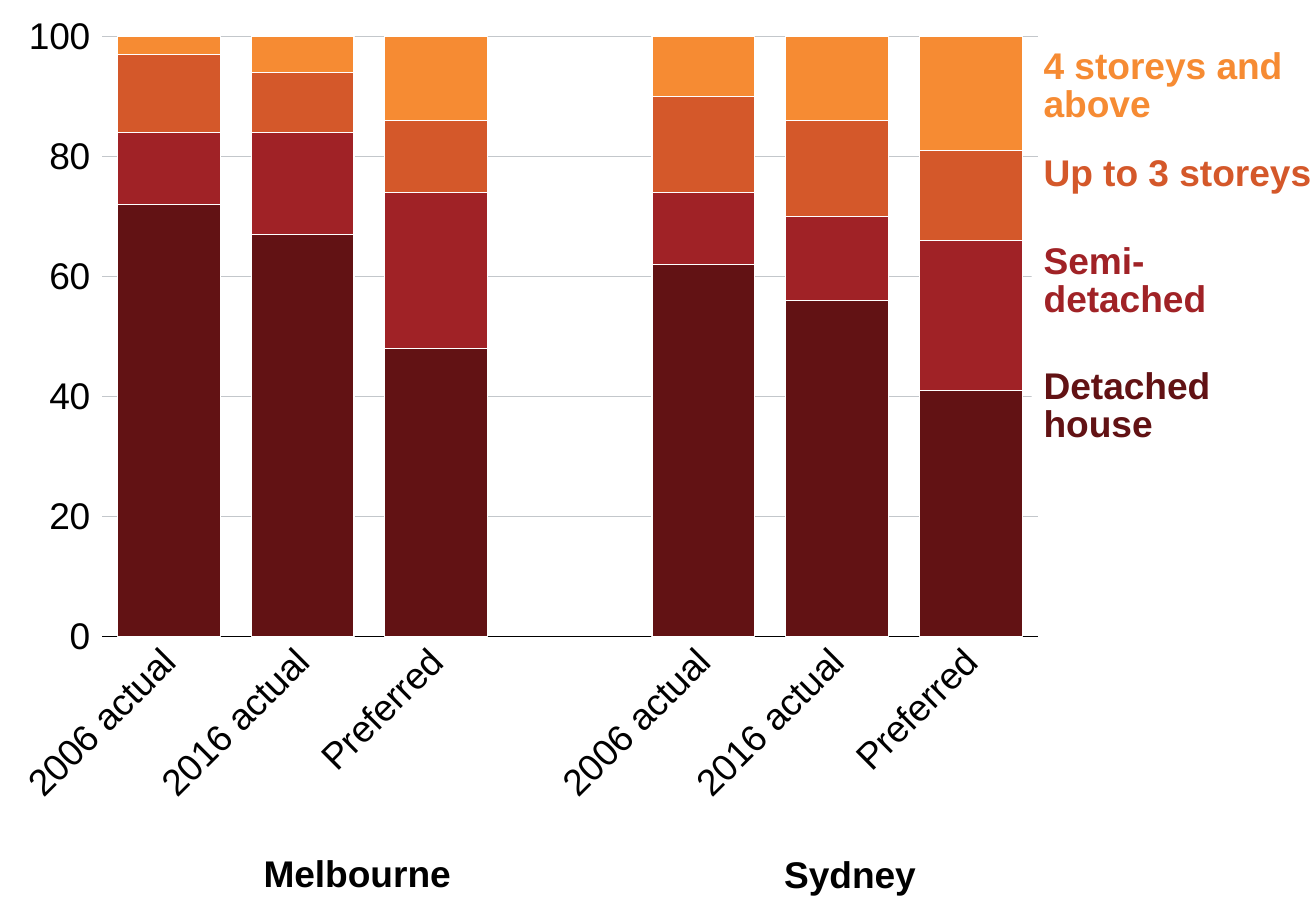
from lxml.etree import SubElement
from pptx import Presentation
from pptx.chart.data import CategoryChartData
from pptx.dml.color import RGBColor
from pptx.enum.chart import XL_CHART_TYPE, XL_TICK_MARK
from pptx.enum.text import MSO_ANCHOR, MSO_AUTO_SIZE, PP_ALIGN
from pptx.oxml.ns import qn
from pptx.util import Inches, Pt

BLACK = RGBColor(0, 0, 0)
WHITE = RGBColor(255, 255, 255)
GREY = RGBColor(0xC3, 0xC7, 0xCB)
MAROON = RGBColor(0x62, 0x12, 0x14)
RED = RGBColor(0xA0, 0x22, 0x26)
RUST = RGBColor(0xD4, 0x58, 0x2A)
ORANGE = RGBColor(0xF6, 0x8B, 0x33)

WIDTH, HEIGHT = 8.72, 6.89
STAGES = ["2006 actual", "2016 actual", "Preferred"]
SERIES = [
    ("Detached house", MAROON, [72, 67, 48, None, 62, 56, 41]),
    ("Semi-detached", RED, [12, 17, 26, None, 12, 14, 25]),
    ("Up to 3 storeys", RUST, [13, 10, 12, None, 16, 16, 15]),
    ("4 storeys and above", ORANGE, [3, 7, 14, None, 10, 14, 20]),
]
KEYS = [
    (2.99, 2.2, 0.74, ["Detached house"], MAROON, WHITE),
    (1.96, 2.12, 0.74, ["Semi-detached"], RED, WHITE),
    (1.24, 2.6, 0.42, ["Up to 3 storeys"], RUST, None),
    (0.36, 2.35, 0.74, ["4 storeys and", "above"], ORANGE, WHITE),
]
CITIES = [("Melbourne", 1.56, 6.95, 2.76), ("Sydney", 5.5, 6.96, 2.99)]


def set_font(font, color, bold=False):
    font.name = "Arial"
    font.size = Pt(22)
    font.bold = bold
    font.color.rgb = color


def set_line(line, color):
    line.color.rgb = color
    line.width = Pt(0.75)


def place_plot(chart, **box):
    area = chart.element.find(".//" + qn("c:plotArea"))
    for old in area.findall(qn("c:layout")):
        area.remove(old)
    layout = SubElement(area, qn("c:layout"))
    area.insert(0, layout)
    manual = SubElement(layout, qn("c:manualLayout"))
    SubElement(manual, qn("c:layoutTarget"), val="inner")
    for mode in ("xMode", "yMode"):
        SubElement(manual, qn("c:" + mode), val="edge")
    for name, size in box.items():
        SubElement(manual, qn("c:" + name), val=str(size))


def style_axes(chart):
    stage = chart.category_axis
    stage.major_tick_mark = XL_TICK_MARK.NONE
    set_line(stage.format.line, BLACK)
    set_font(stage.tick_labels.font, BLACK)
    axis = chart.element.find(".//" + qn("c:catAx"))
    body = axis.find(qn("c:txPr")).find(qn("a:bodyPr"))
    body.set("rot", "-2700000")
    body.set("vert", "horz")

    share = chart.value_axis
    share.minimum_scale = 0
    share.maximum_scale = 100
    share.major_unit = 20
    share.major_tick_mark = XL_TICK_MARK.OUTSIDE
    share.format.line.fill.background()
    set_line(share.major_gridlines.format.line, GREY)
    set_font(share.tick_labels.font, BLACK)


def add_bars(slide):
    data = CategoryChartData()
    data.categories = STAGES + [""] + STAGES
    for name, _, shares in SERIES:
        data.add_series(name, shares)
    chart = slide.shapes.add_chart(
        XL_CHART_TYPE.COLUMN_STACKED, 0, 0, Inches(WIDTH), Inches(HEIGHT), data
    ).chart
    chart.has_legend = False
    chart.has_title = False
    set_font(chart.font, BLACK)
    plot = chart.plots[0]
    plot.gap_width = 30
    plot.overlap = 100
    plot.vary_by_categories = False
    for series, (_, color, _) in zip(plot.series, SERIES):
        series.format.fill.solid()
        series.format.fill.fore_color.rgb = color
        set_line(series.format.line, WHITE)
    style_axes(chart)
    place_plot(
        chart, x=0.84 / WIDTH, y=0.3 / HEIGHT, w=7.7 / WIDTH, h=4.94 / HEIGHT
    )


def add_label(slide, left, top, width, height, lines, color):
    box = slide.shapes.add_textbox(
        Inches(left), Inches(top), Inches(width), Inches(height)
    )
    frame = box.text_frame
    frame.word_wrap = True
    frame.auto_size = MSO_AUTO_SIZE.SHAPE_TO_FIT_TEXT
    frame.vertical_anchor = MSO_ANCHOR.TOP
    frame.text = "\n".join(lines)
    for para in frame.paragraphs:
        set_font(para.font, color, True)
    return box


def add_key(slide, top, width, height, lines, color, back):
    box = add_label(slide, 8.49, top, width, height, lines, color)
    if back is not None:
        box.fill.solid()
        box.fill.fore_color.rgb = back
    for para in box.text_frame.paragraphs:
        para.line_spacing = 0.85


def add_city(slide, name, left, top, width):
    frame = add_label(slide, left, top, width, 0.47, [name], BLACK).text_frame
    frame.margin_left = frame.margin_right = 0
    frame.paragraphs[0].alignment = PP_ALIGN.CENTER


def main():
    deck = Presentation()
    deck.slide_width = Inches(10.83)
    deck.slide_height = Inches(7.5)
    slide = deck.slides.add_slide(deck.slide_layouts[6])
    add_bars(slide)
    for key in KEYS:
        add_key(slide, *key)
    for city in CITIES:
        add_city(slide, *city)
    deck.save("out.pptx")


if __name__ == "__main__":
    main()
